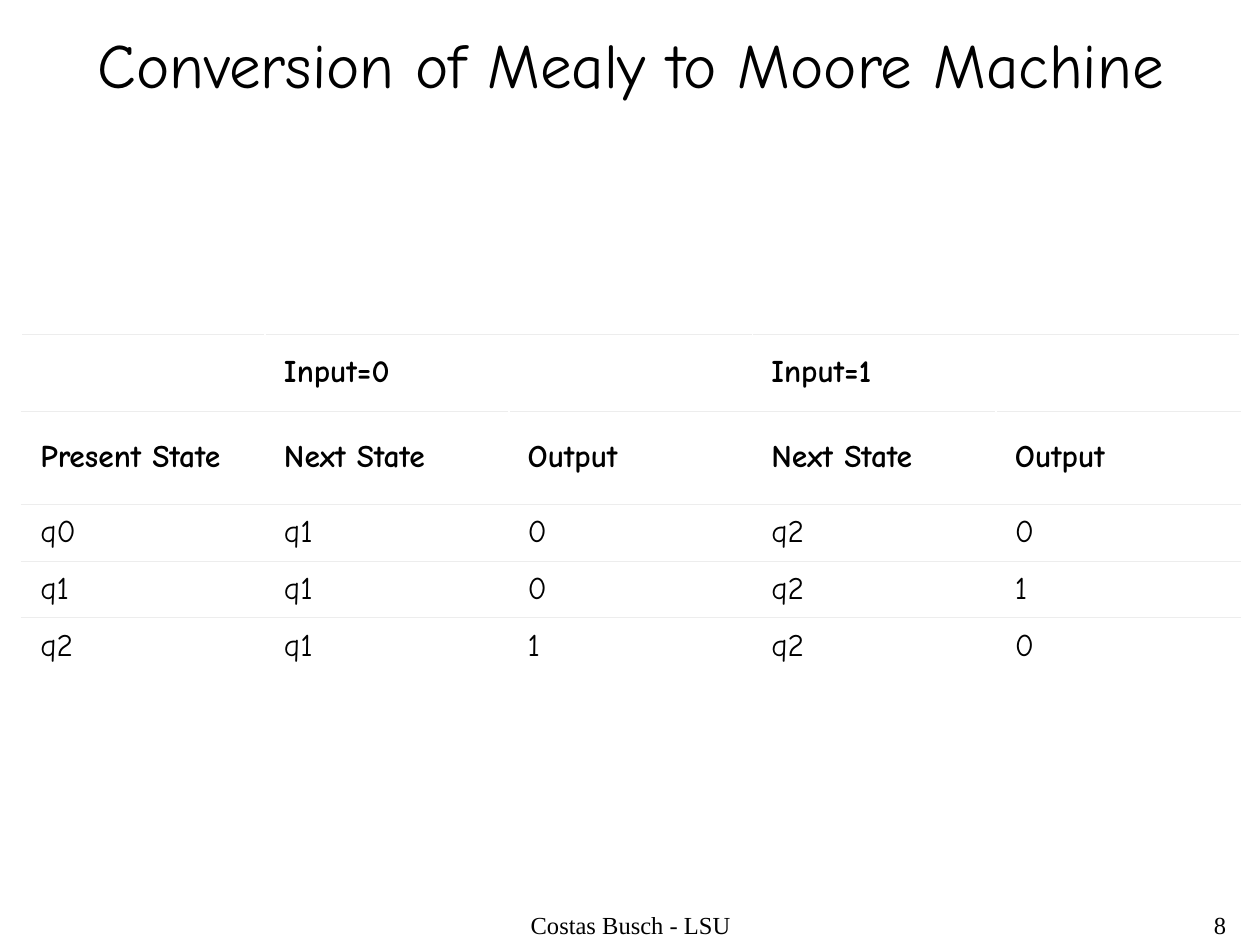
from lxml.etree import SubElement
from pptx import Presentation
from pptx.dml.color import RGBColor
from pptx.enum.text import MSO_ANCHOR as Anchor, PP_ALIGN as Align
from pptx.oxml import parse_xml
from pptx.oxml.ns import nsdecls, qn
from pptx.util import Inches, Pt

BLACK = RGBColor(0, 0, 0)
WHITE = RGBColor(255, 255, 255)
GRAY = RGBColor(0xED, 0xED, 0xED)
COMIC = "Comic Neue"
SERIF = "Times New Roman"


def write(frame, text, size=18, font=COMIC, bold=False, align=Align.LEFT):
    para = frame.paragraphs[0]
    para.alignment = align
    run = para.add_run()
    run.text = text
    run.font.size = Pt(size)
    run.font.name = font
    run.font.bold = bold
    run.font.color.rgb = BLACK


def rule(cell, *sides):
    for spot, side in enumerate(sides):
        line = parse_xml(
            f'<a:{side} {nsdecls("a")} w="{Pt(0.34)}"><a:solidFill>'
            f'<a:srgbClr val="{GRAY}"/></a:solidFill></a:{side}>')
        cell._tc.get_or_add_tcPr().insert(spot, line)


deck = Presentation()
deck.slide_width, deck.slide_height = Inches(10), Inches(7.5)
slide = deck.slides.add_slide(deck.slide_layouts[5])

title = slide.shapes.title
title.left, title.top = Inches(0.17), Inches(0.17)
title.width, title.height = Inches(9.67), Inches(0.67)
title.text_frame.vertical_anchor = Anchor.MIDDLE
write(title.text_frame, "Conversion of Mealy to Moore Machine",
      size=36, align=Align.CENTER)

rows = [
    ["", "Input=0", "", "Input=1", ""],
    ["Present\u00a0State", "Next\u00a0State", "Output", "Next\u00a0State", "Output"],
    ["q0", "q1", "0", "q2", "0"],
    ["q1", "q1", "0", "q2", "1"],
    ["q2", "q1", "1", "q2", "0"],
]
highs = [0.45, 0.74, 0.45, 0.45, 0.45]
table = slide.shapes.add_table(
    len(rows), len(rows[0]), Inches(0.17), Inches(2.65),
    Inches(9.67), Inches(sum(highs))).table
table.first_row = table.horz_banding = False
for col in table.columns:
    col.width = Inches(9.67 / len(rows[0]))
for row, high in zip(table.rows, highs):
    row.height = Inches(high)

for r, row in enumerate(rows):
    for c, text in enumerate(row):
        cell = table.cell(r, c)
        cell.fill.solid()
        cell.fill.fore_color.rgb = WHITE
        cell.vertical_anchor = Anchor.MIDDLE
        cell.margin_left = cell.margin_right = Inches(0.15)
        cell.margin_top = cell.margin_bottom = Inches(0.05)
        rule(cell, *(["lnT", "lnB"] if r < len(rows) - 1 else ["lnT"]))
        if text:
            write(cell.text_frame, text, bold=r < 2)
for c in (1, 3):
    table.cell(0, c).merge(table.cell(0, c + 1))

blank = table.cell(0, 0).text_frame.paragraphs[0]
end = SubElement(blank._p, qn("a:endParaRPr"), sz="3200")
SubElement(end, qn("a:latin"), typeface=COMIC)

for text, left, width, align in [
    ("Costas Busch - LSU", 3.42, 3.17, Align.CENTER),
    ("8", 7.75, 2.08, Align.RIGHT),
]:
    box = slide.shapes.add_textbox(
        Inches(left), Inches(7.17), Inches(width), Inches(0.33))
    box.text_frame.word_wrap = True
    write(box.text_frame, text, size=14, font=SERIF, align=align)

deck.save("out.pptx")
